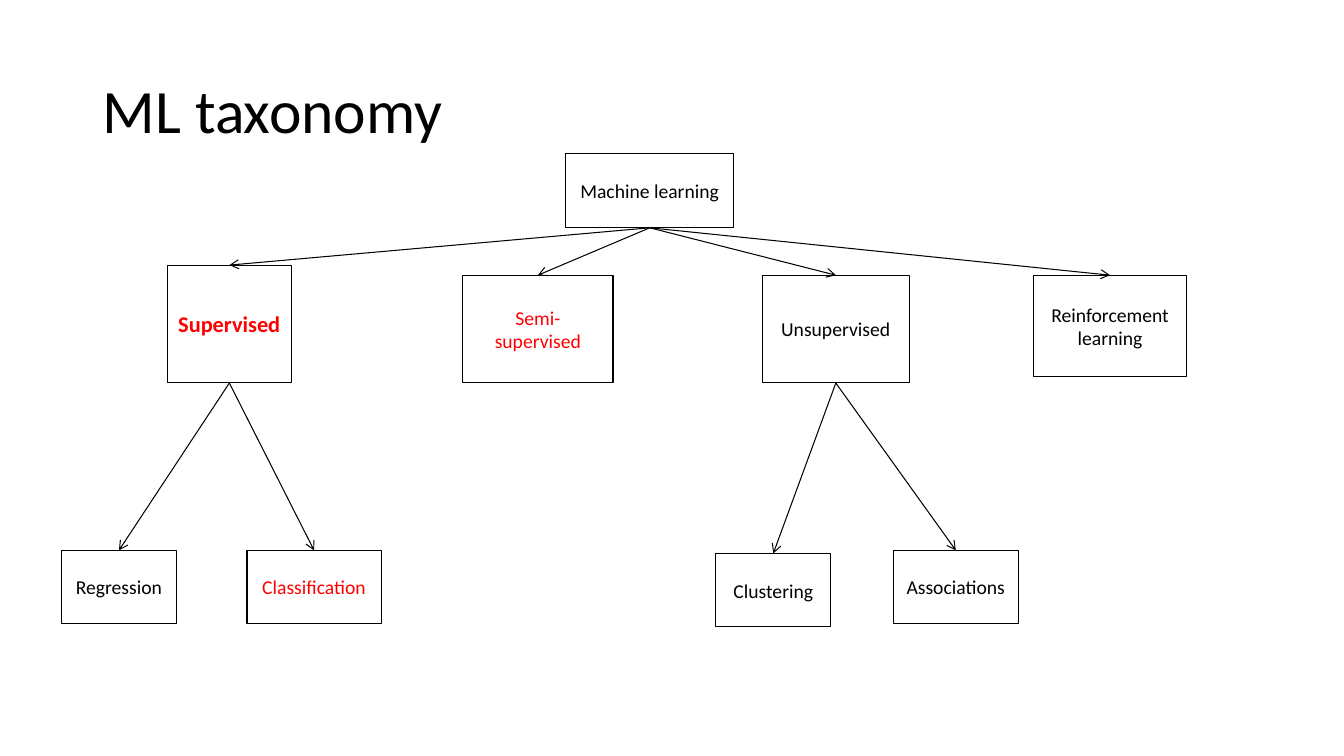
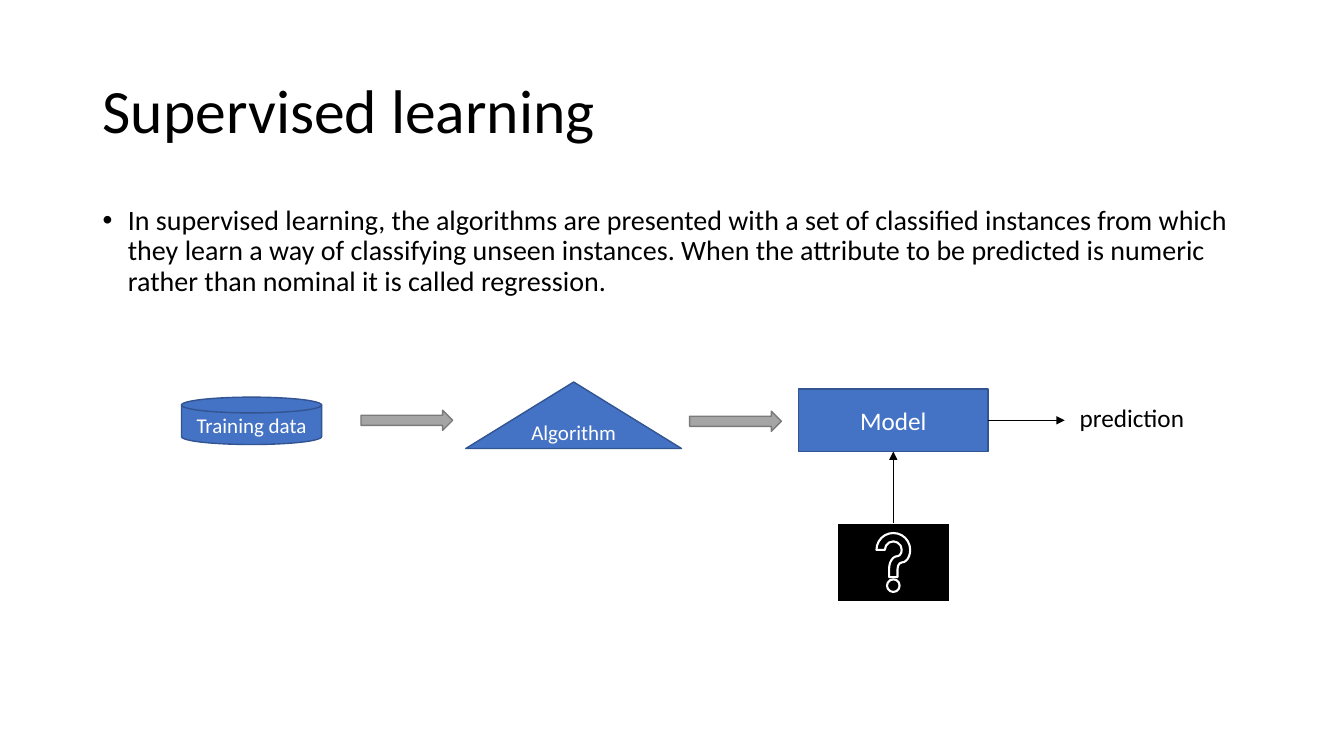
"""Build two slides on machine learning: a taxonomy tree and the supervised learning flow."""
from typing import NamedTuple, Optional

from lxml.etree import SubElement
from pptx import Presentation
from pptx.dml.color import RGBColor
from pptx.enum.shapes import MSO_CONNECTOR, MSO_SHAPE as Shape
from pptx.enum.text import MSO_ANCHOR as Anchor, PP_ALIGN as Align
from pptx.oxml.ns import qn
from pptx.util import Pt

PX = 9144
FONT = "Calibri"
BLACK = RGBColor(0x00, 0x00, 0x00)
WHITE = RGBColor(0xFF, 0xFF, 0xFF)
RED = RGBColor(0xFF, 0x00, 0x00)
BLUE = RGBColor(0x44, 0x72, 0xC4)
DARK_BLUE = RGBColor(0x32, 0x54, 0x91)
GRAY = RGBColor(0xA5, 0xA5, 0xA5)
DARK_GRAY = RGBColor(0x7A, 0x7A, 0x7A)
TOP_SITE, BOTTOM_SITE, RIGHT_SITE = 0, 2, 3


class Area(NamedTuple):
    left: int
    top: int
    width: int
    height: int

    def emu(self) -> list[int]:
        return [length * PX for length in self]


class Look(NamedTuple):
    fill: RGBColor
    line: RGBColor
    weight: float


class Node(NamedTuple):
    label: str
    area: Area
    parent: Optional[str] = None
    color: RGBColor = BLACK
    size: int = 14
    bold: bool = False


class Step(NamedTuple):
    kind: Shape
    area: Area
    look: Look
    label: str = ""
    size: int = 15


NODE_LOOK = Look(WHITE, BLACK, 0.75)
STEP_LOOK = Look(BLUE, DARK_BLUE, 1)
ARROW_LOOK = Look(GRAY, DARK_GRAY, 1)
HELP_LOOK = Look(BLACK, WHITE, 1.5)

TITLE_AREA = Area(92, 40, 1150, 145)
BODY_AREA = Area(92, 200, 1150, 476)
BODY_TEXT = (
    "In supervised learning, the algorithms are presented with a set of classified "
    "instances from which they learn a way of classifying unseen instances. When the "
    "attribute to be predicted is numeric rather than nominal it is called regression."
)

NODES = [
    Node("Machine learning", Area(561, 152, 167, 74)),
    Node("Supervised", Area(166, 263, 123, 117), "Machine learning", RED, 16, True),
    Node("Semi-supervised", Area(459, 273, 149, 107), "Machine learning", RED),
    Node("Unsupervised", Area(756, 273, 146, 107), "Machine learning"),
    Node("Reinforcement learning", Area(1025, 273, 152, 101), "Machine learning"),
    Node("Regression", Area(61, 546, 114, 73), "Supervised"),
    Node("Classification", Area(245, 546, 133, 73), "Supervised", RED),
    Node("Clustering", Area(710, 549, 114, 73), "Unsupervised"),
    Node("Associations", Area(886, 546, 124, 73), "Unsupervised"),
]

MODEL = Step(Shape.RECTANGLE, Area(792, 386, 188, 62), STEP_LOOK, "Model", 18)
HELP = Step(Shape.ACTION_BUTTON_HELP, Area(830, 519, 112, 78), HELP_LOOK)
STEPS = [
    Step(Shape.FLOWCHART_MAGNETIC_DISK, Area(180, 394, 139, 47), STEP_LOOK, "Training data"),
    Step(Shape.RIGHT_ARROW, Area(358, 407, 91, 20), ARROW_LOOK),
    Step(Shape.ISOSCELES_TRIANGLE, Area(462, 379, 214, 66), STEP_LOOK, "Algorithm"),
    Step(Shape.RIGHT_ARROW, Area(684, 408, 91, 20), ARROW_LOOK),
    HELP,
]


def style_text(para, size: int, color: RGBColor, bold: bool = False) -> None:
    """Set the font of one paragraph."""
    for span in para.runs:
        span.font.name = FONT
        span.font.size = Pt(size)
        span.font.color.rgb = color
        span.font.bold = bold


def add_text(page, area: Area, text: str, size: int, anchor=Anchor.TOP, wrap: bool = True):
    """Add a black text box and return its paragraph."""
    frame = page.shapes.add_textbox(*area.emu()).text_frame
    frame.word_wrap = wrap
    frame.vertical_anchor = anchor
    frame.text = text
    para = frame.paragraphs[0]
    style_text(para, size, BLACK)
    return para


def add_page(deck, title: str):
    """Add a blank page with the shared title style."""
    page = deck.slides.add_slide(deck.slide_layouts[6])
    add_text(page, TITLE_AREA, title, 44, Anchor.MIDDLE).line_spacing = 0.9
    return page


def add_box(page, kind: Shape, area: Area, look: Look):
    """Add a flat preset shape."""
    box = page.shapes.add_shape(kind, *area.emu())
    box.shadow.inherit = False
    box.fill.solid()
    box.fill.fore_color.rgb = look.fill
    box.line.color.rgb = look.line
    box.line.width = Pt(look.weight)
    return box


def set_label(box, text: str, size: int, color: RGBColor, bold: bool = False) -> None:
    """Centre a label in a shape."""
    frame = box.text_frame
    frame.word_wrap = True
    frame.vertical_anchor = Anchor.MIDDLE
    frame.text = text
    para = frame.paragraphs[0]
    para.alignment = Align.CENTER
    style_text(para, size, color, bold)


def add_step(page, step: Step):
    """Add one shape of the learning flow."""
    box = add_box(page, step.kind, step.area, step.look)
    if step.label:
        set_label(box, step.label, step.size, WHITE)
        box.text_frame.margin_left = box.text_frame.margin_right = 0
    return box


def add_arrow(page, start, start_site: int, end: tuple[int, int], head: str, weight: float):
    """Add a straight arrow from a site of a shape to a point."""
    arrow = page.shapes.add_connector(
        MSO_CONNECTOR.STRAIGHT, start.left, start.top, end[0] * PX, end[1] * PX
    )
    arrow.begin_connect(start, start_site)
    arrow.line.color.rgb = BLACK
    arrow.line.width = Pt(weight)
    SubElement(arrow.line._get_or_add_ln(), qn("a:tailEnd"), type=head)
    SubElement(arrow._element.spPr, qn("a:effectLst"))
    return arrow


def build_taxonomy(deck) -> None:
    """Draw the taxonomy tree."""
    page = add_page(deck, "ML taxonomy")
    boxes = {}
    for node in NODES:
        box = add_box(page, Shape.RECTANGLE, node.area, NODE_LOOK)
        set_label(box, node.label, node.size, node.color, node.bold)
        boxes[node.label] = box
        if node.parent:
            top = (node.area.left + node.area.width // 2, node.area.top)
            arrow = add_arrow(page, boxes[node.parent], BOTTOM_SITE, top, "arrow", 0.75)
            arrow.end_connect(box, TOP_SITE)


def build_supervised(deck) -> None:
    """Draw the supervised learning explanation and flow."""
    page = add_page(deck, "Supervised learning")
    para = add_text(page, BODY_AREA, BODY_TEXT, 20)
    para.line_spacing = 0.9
    properties = para._p.get_or_add_pPr()
    properties.set("marL", str(25 * PX))
    properties.set("indent", str(-25 * PX))
    SubElement(properties, qn("a:buFont"), typeface="Arial")
    SubElement(properties, qn("a:buChar"), char="•")

    for step in STEPS:
        add_step(page, step)
    model = add_step(page, MODEL)
    add_arrow(page, model, RIGHT_SITE, (1056, 417), "triangle", 1)
    question = (HELP.area.left + HELP.area.width // 2, HELP.area.top)
    arrow = add_arrow(page, model, BOTTOM_SITE, question, "none", 1)
    SubElement(arrow.line._get_or_add_ln(), qn("a:headEnd"), type="triangle")
    line = arrow.line._get_or_add_ln()
    line.remove(line.find(qn("a:tailEnd")))
    add_text(page, Area(1061, 394, 124, 40), "prediction", 18, wrap=False)


def main() -> None:
    """Build and save the deck."""
    deck = Presentation()
    deck.slide_width, deck.slide_height = 1333 * PX, 750 * PX
    build_taxonomy(deck)
    build_supervised(deck)
    deck.save("out.pptx")


if __name__ == "__main__":
    main()
